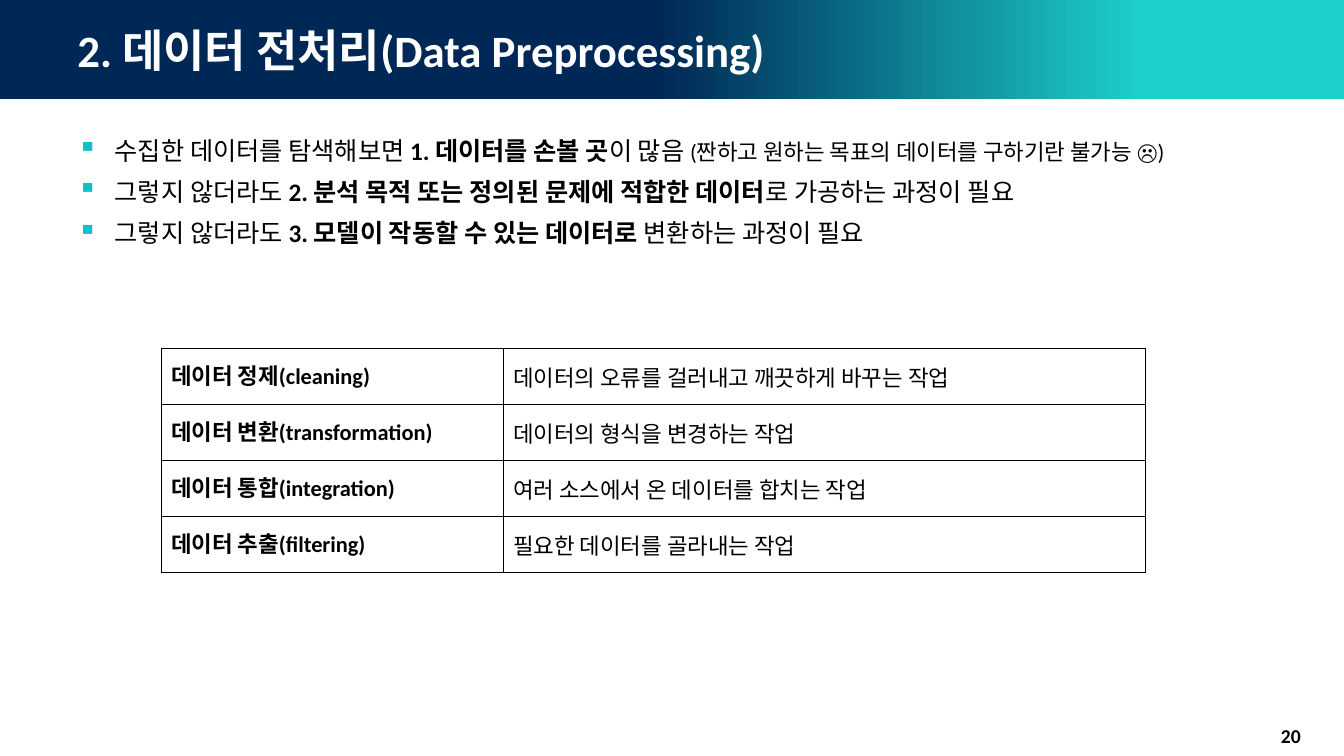
from lxml import etree
from pptx import Presentation
from pptx.dml.color import RGBColor
from pptx.enum import shapes, text
from pptx.oxml import ns
from pptx.util import Inches, Pt

NAVY = RGBColor(0x00, 0x28, 0x56)
TEAL = RGBColor(0x1C, 0xCF, 0xC9)
BULLET = RGBColor(0x11, 0xBF, 0xCB)
BLACK = RGBColor(0x00, 0x00, 0x00)
WHITE = RGBColor(0xFF, 0xFF, 0xFF)
LATIN, KOREAN = "Calibri", "Noto Sans CJK KR"


def add_run(paragraph, words, size, bold=False, color=BLACK, face=LATIN):
    run = paragraph.add_run()
    run.text = words
    run.font.size = Pt(size)
    run.font.bold = bold
    run.font.color.rgb = color
    run.font.name = face
    east_asian = etree.SubElement(run.font._element, ns.qn("a:ea"))
    east_asian.set("typeface", face)


def add_text_frame(left, top, width, height, anchor):
    box = slide.shapes.add_textbox(Inches(left), Inches(top), Inches(width), Inches(height))
    box.text_frame.word_wrap = True
    box.text_frame.vertical_anchor = anchor
    return box.text_frame


deck = Presentation()
deck.slide_width, deck.slide_height = Inches(13.33), Inches(7.5)
slide = deck.slides.add_slide(deck.slide_layouts[6])

# Header band
band = slide.shapes.add_shape(shapes.MSO_SHAPE.RECTANGLE, 0, 0, Inches(13.33), Inches(0.98))
band.shadow.inherit = False
band.line.fill.background()
band.fill.gradient()
band.fill.gradient_angle = 0
for stop, position, color in zip(band.fill.gradient_stops, (0.49, 0.85), (NAVY, TEAL)):
    stop.position = position
    stop.color.rgb = color

# Title
title = add_text_frame(0.67, 0, 12, 0.98, text.MSO_ANCHOR.MIDDLE)
add_run(title.paragraphs[0], "2. 데이터 전처리(Data Preprocessing)", 32, True, WHITE)

# Reasons for preprocessing: (words, size, bold)
reasons = [
    [("수집한 데이터를 탐색해보면 ", 18, False), ("1. 데이터를 손볼 곳", 18, True),
     ("이 많음 ", 18, False), ("(짠하고 원하는 목표의 데이터를 구하기란 불가능 ☹)", 16, False)],
    [("그렇지 않더라도 ", 18, False), ("2. 분석 목적 또는 정의된 문제에 적합한 데이터", 18, True),
     ("로 가공하는 과정이 필요", 18, False)],
    [("그렇지 않더라도 ", 18, False), ("3. 모델이 작동할 수 있는 데이터로 ", 18, True),
     ("변환하는 과정이 필요", 18, False)],
]
body = add_text_frame(0.67, 1.23, 12.33, 6.13, text.MSO_ANCHOR.TOP)
for index, reason in enumerate(reasons):
    paragraph = body.add_paragraph() if index else body.paragraphs[0]
    props = paragraph._p.get_or_add_pPr()
    props.set("marL", str(Inches(0.37)))
    props.set("indent", str(Inches(-0.37)))
    bullet_color = etree.SubElement(props, ns.qn("a:buClr"))
    etree.SubElement(bullet_color, ns.qn("a:srgbClr")).set("val", str(BULLET))
    etree.SubElement(props, ns.qn("a:buSzPct")).set("val", "110000")
    etree.SubElement(props, ns.qn("a:buChar")).set("char", "▪")
    paragraph.line_spacing = 1.2
    if index:
        paragraph.space_before = Pt(3.6)
    for words, size, bold in reason:
        add_run(paragraph, words, size, bold)

# Table of preprocessing tasks
tasks = [
    ("데이터 정제(cleaning)", "데이터의 오류를 걸러내고 깨끗하게 바꾸는 작업"),
    ("데이터 변환(transformation)", "데이터의 형식을 변경하는 작업"),
    ("데이터 통합(integration)", "여러 소스에서 온 데이터를 합치는 작업"),
    ("데이터 추출(filtering)", "필요한 데이터를 골라내는 작업"),
]
table = slide.shapes.add_table(len(tasks), 2, Inches(1.6), Inches(3.46),
                               Inches(9.76), Inches(2.22)).table
table.first_row = table.horz_banding = False
for column, width in zip(table.columns, (3.39, 6.37)):
    column.width = Inches(width)
for row, task in zip(table.rows, tasks):
    row.height = Inches(2.22 / len(tasks))
    for cell, words, bold, face in zip(row.cells, task, (True, False), (LATIN, KOREAN)):
        cell.vertical_anchor = text.MSO_ANCHOR.MIDDLE
        add_run(cell.text_frame.paragraphs[0], words, 16, bold, face=face)
        cell_props = cell._tc.get_or_add_tcPr()
        for side in ("lnL", "lnR", "lnT", "lnB"):
            border = etree.SubElement(cell_props, ns.qn(f"a:{side}"), w=str(Pt(1)))
            border_fill = etree.SubElement(border, ns.qn("a:solidFill"))
            etree.SubElement(border_fill, ns.qn("a:srgbClr")).set("val", str(BLACK))
        cell.fill.solid()
        cell.fill.fore_color.rgb = WHITE

# Page number
page = add_text_frame(10.1, 7.1, 2.9, 0.4, text.MSO_ANCHOR.MIDDLE)
page.paragraphs[0].alignment = text.PP_ALIGN.RIGHT
add_run(page.paragraphs[0], "20", 14, True)

deck.save("out.pptx")
